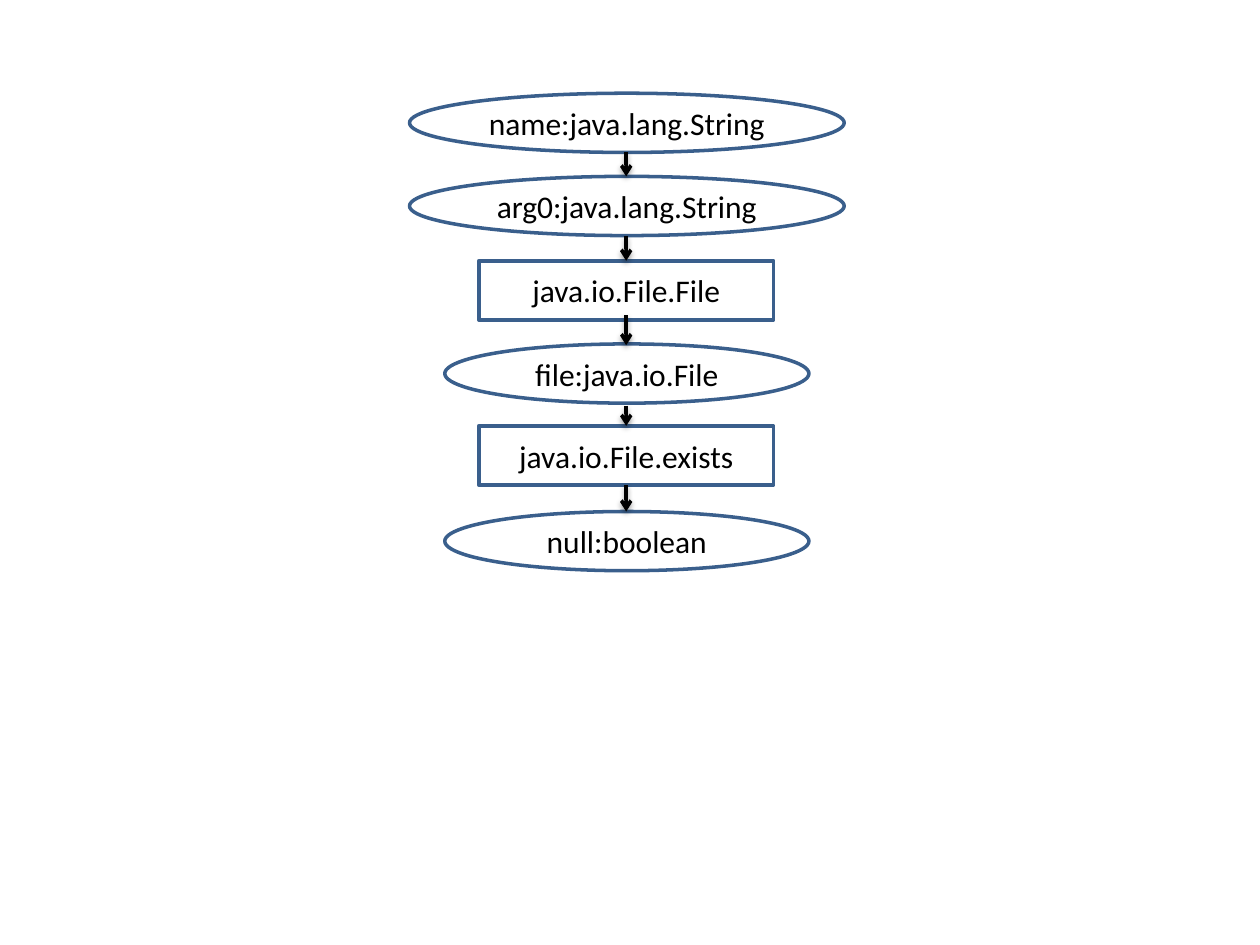
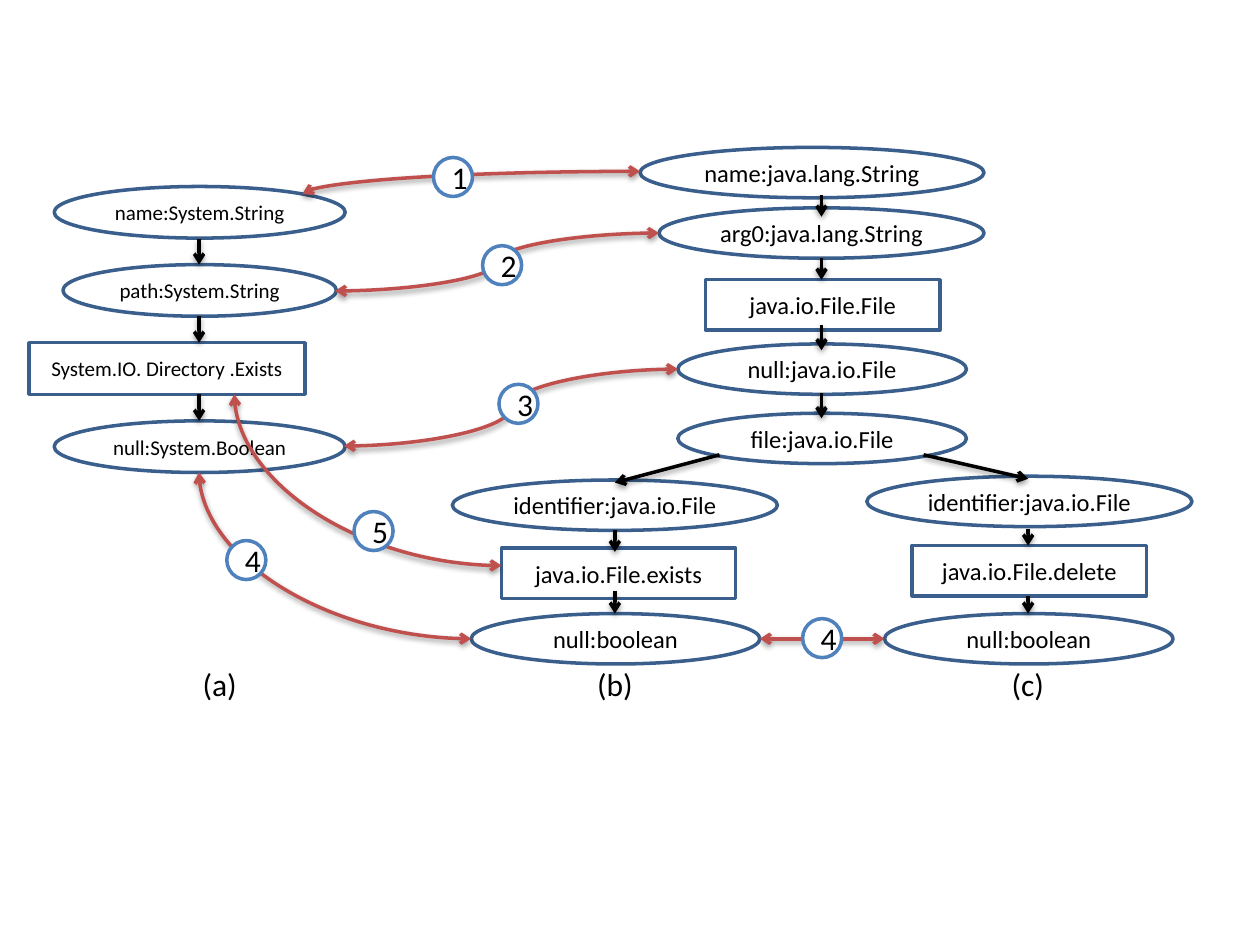
"""Builds two slides of call graphs, the second with numbered matches between graphs."""
from pptx import Presentation
from pptx.dml.color import RGBColor
from pptx.enum.shapes import MSO_CONNECTOR as Link, MSO_SHAPE as Shape
from pptx.enum.text import MSO_ANCHOR as Anchor, MSO_AUTO_SIZE as AutoSize, PP_ALIGN as Align
from pptx.oxml.ns import qn
from pptx.util import Inches, Pt
from lxml import etree

COLOURS = {"paper": "FFFFFF", "ink": "000000", "node": "3A5F8C", "badge": "4F81BD", "match": "C0504D"}
FONT = "Calibri"
LINE_WIDTH = 2
BADGE = 0.31
DATA, CALL = Shape.OVAL, Shape.RECTANGLE

FILE_CHECK = {
    "height": 0.47, "size": 18, "grouped": False,
    "nodes": [
        (DATA, "name:java.lang.String", 3.25, 0.74, 3.45),
        (DATA, "arg0:java.lang.String", 3.25, 1.4, 3.45),
        (CALL, "java.io.File.File", 3.8, 2.07, 2.34),
        (DATA, "file:java.io.File", 3.53, 2.73, 2.89),
        (CALL, "java.io.File.exists", 3.8, 3.38, 2.34),
        (DATA, "null:boolean", 3.53, 4.06, 2.89),
    ],
    "flows": {4.97: [(1.21, 1.4), (1.87, 2.07), (2.5, 2.74), (3.22, 3.38), (3.85, 4.06)]},
    "branches": [],
}
SYSTEM_GRAPH = {
    "height": 0.41, "size": 12, "grouped": True,
    "nodes": [
        (DATA, "name:System.String", 0.43, 1.48, 2.31),
        (DATA, "path:System.String", 0.5, 2.1, 2.17),
        (CALL, "System.IO. Directory .Exists", 0.23, 2.72, 2.19),
        (DATA, "null:System.Boolean", 0.43, 3.34, 2.31),
    ],
    "flows": {1.58: [(1.9, 2.1), (2.51, 2.72), (3.13, 3.34)]},
    "branches": [],
}
JAVA_GRAPH = {
    "height": 0.4, "size": 14, "grouped": False,
    "nodes": [
        (DATA, "name:java.lang.String", 5.08, 1.17, 2.73),
        (DATA, "arg0:java.lang.String", 5.23, 1.65, 2.58),
        (CALL, "java.io.File.File", 5.6, 2.22, 1.86),
        (DATA, "null:java.io.File", 5.38, 2.73, 2.29),
        (DATA, "file:java.io.File", 5.38, 3.28, 2.29),
        (DATA, "identifier:java.io.File", 3.59, 3.81, 2.58),
        (CALL, "java.io.File.exists", 3.98, 4.35, 1.86),
        (DATA, "null:boolean", 3.74, 4.87, 2.29),
        (DATA, "identifier:java.io.File", 6.88, 3.78, 2.58),
        (CALL, "java.io.File.delete", 7.24, 4.33, 1.86),
        (DATA, "null:boolean", 7.02, 4.87, 2.29),
    ],
    "flows": {
        6.52: [(1.55, 1.72), (2.05, 2.22), (2.58, 2.78), (3.12, 3.32)],
        4.88: [(4.21, 4.38), (4.69, 4.87)],
        8.16: [(4.2, 4.33), (4.73, 4.87)],
    },
    "branches": [(5.71, 3.61, 4.88, 3.83), (7.33, 3.61, 8.16, 3.8)],
}
BENDS = [(5.08, 1.36, 2.4, 1.54), (3.74, 5.07, 1.58, 3.75), (3.98, 4.49, 1.86, 3.13)]
WAVES = [(2.66, 2.31, 5.23, 1.85), (2.73, 3.54, 5.38, 2.93), (6.03, 5.07, 7.02, 5.07)]
BADGES = [("1", 3.44, 1.25), ("2", 3.83, 1.95), ("3", 3.96, 3.05),
          ("4", 1.8, 4.29), ("4", 6.37, 4.91), ("5", 2.81, 4.06)]
CAPTIONS = [("(a)", 1.51, 0.48), ("(b)", 4.64, 0.49), ("(c)", 7.93, 0.46)]
CAPTION_TOP, CAPTION_HEIGHT = 5.23, 0.4


def colour(name):
    """Return the named colour."""
    return RGBColor.from_string(COLOURS[name])


def apply(target, values):
    """Set every attribute of target listed in values."""
    for name, value in values.items():
        setattr(target, name, value)


def write(box, text, size, align):
    """Put one line of text into box."""
    para = box.text_frame.paragraphs[0]
    para.alignment = align
    span = para.add_run()
    span.text = text
    apply(span.font, {"name": FONT, "size": Pt(size)})
    span.font.color.rgb = colour("ink")


def draw_line(shape, name):
    """Give a shape or connector its line."""
    shape.line.color.rgb = colour(name)
    shape.line.width = Pt(LINE_WIDTH)


def add_node(shapes, kind, text, place, size, outline="node"):
    """Add an outlined shape with centred text."""
    box = shapes.add_shape(kind, *map(Inches, place))
    box.shadow.inherit = False
    box.fill.solid()
    box.fill.fore_color.rgb = colour("paper")
    draw_line(box, outline)
    apply(box.text_frame, {"vertical_anchor": Anchor.MIDDLE, "word_wrap": True})
    write(box, text, size, Align.CENTER)


def add_arrow(shapes, points, kind=Link.STRAIGHT, name="ink", ends=("tailEnd",)):
    """Add a connector with open arrowheads at the given ends."""
    arrow = shapes.add_connector(kind, *map(Inches, points))
    draw_line(arrow, name)
    for end in ends:
        etree.SubElement(arrow.line._get_or_add_ln(), qn("a:" + end), type="arrow")
    return arrow


def add_graph(page, graph):
    """Add the nodes of a graph and the arrows between them."""
    shapes = page.shapes.add_group_shape().shapes if graph["grouped"] else page.shapes
    for kind, text, left, top, width in graph["nodes"]:
        add_node(shapes, kind, text, (left, top, width, graph["height"]), graph["size"])
    for x, spans in graph["flows"].items():
        for start, end in spans:
            add_arrow(shapes, (x, start, x, end))
    for points in graph["branches"]:
        add_arrow(shapes, points)


def add_matches(page):
    """Add the numbered curves between the graphs."""
    for points in BENDS + WAVES:
        curve = add_arrow(page.shapes, points, Link.CURVE, "match", ("headEnd", "tailEnd"))
        if points in BENDS:
            curve._element.spPr.find(qn("a:prstGeom")).set("prst", "curvedConnector2")
    for number, left, top in BADGES:
        add_node(page.shapes, Shape.OVAL, number, (left, top, BADGE, BADGE), 18, "badge")


def add_captions(page):
    """Add the letters under the graphs."""
    for text, left, width in CAPTIONS:
        box = page.shapes.add_textbox(*map(Inches, (left, CAPTION_TOP, width, CAPTION_HEIGHT)))
        apply(box.text_frame, {"word_wrap": False, "auto_size": AutoSize.SHAPE_TO_FIT_TEXT})
        write(box, text, 18, Align.LEFT)


deck = Presentation()
apply(deck, {"slide_width": Inches(10), "slide_height": Inches(7.5)})
blank = deck.slide_layouts[6]
add_graph(deck.slides.add_slide(blank), FILE_CHECK)
comparison = deck.slides.add_slide(blank)
for graph in (SYSTEM_GRAPH, JAVA_GRAPH):
    add_graph(comparison, graph)
add_matches(comparison)
add_captions(comparison)
deck.save("out.pptx")
